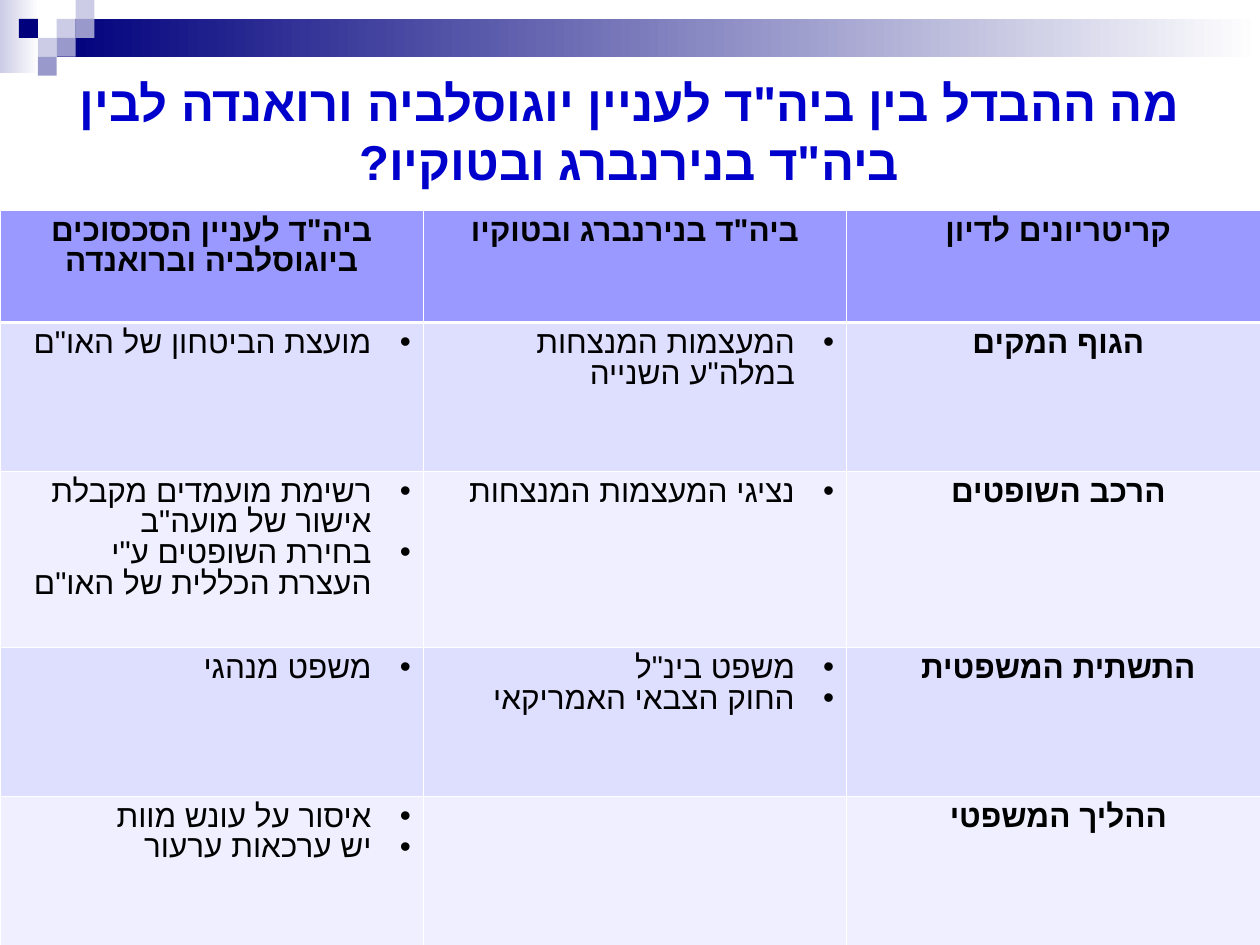
import pptx
import pptx.dml.color
import pptx.enum.shapes
import pptx.enum.text
import pptx.oxml
import pptx.oxml.ns
import pptx.util
from pptx.util import Inches

NS = pptx.oxml.ns.nsdecls("a")
CENTER = pptx.enum.text.PP_ALIGN.CENTER
RIGHT = pptx.enum.text.PP_ALIGN.RIGHT


def rgb(value):
    return pptx.dml.color.RGBColor.from_string(value)


def write(p, text, size, color, bold, align):
    """Fill a right-to-left paragraph with one run."""
    p.alignment = align
    p._p.get_or_add_pPr().set("rtl", "1")
    r = p.add_run()
    r.text = text
    r.font.size = pptx.util.Pt(size)
    r.font.name = "Arial"
    r.font.bold = bold
    r.font.color.rgb = rgb(color)
    r._r.get_or_add_rPr().append(
        pptx.oxml.parse_xml(f'<a:cs {NS} typeface="Arial"/>'))


prs = pptx.Presentation()
prs.slide_width, prs.slide_height = Inches(10), Inches(7.5)
s = prs.slides.add_slide(prs.slide_layouts[6])

# Header band: two gradient bars, then small squares on a grid
UNIT = 0.15
bars = [(0, 0, 0.31, 0.58, "CCCCE6"), (0.45, 0.15, 9.55, 0.3, "00007D")]
squares = [(3, 1, "CCCCE6"), (4, 0, "CCCCE6"), (4, 1, "9999CC"),
           (2, 2, "CCCCE6"), (1, 1, "00007D"), (3, 2, "9999CC"),
           (2, 3, "9999CC")]
blocks = [(*bar, True) for bar in bars]
blocks += [(col * UNIT, row * UNIT, UNIT, UNIT, color, False)
           for col, row, color in squares]
for x, y, w, h, color, fades in blocks:
    sp = s.shapes.add_shape(pptx.enum.shapes.MSO_SHAPE.RECTANGLE,
                            Inches(x), Inches(y), Inches(w), Inches(h))
    sp.shadow.inherit = False
    sp.line.fill.background()
    if fades:
        sp.fill.gradient()
        sp.fill.gradient_angle = 0
        for stop, stop_color in zip(sp.fill.gradient_stops, (color, "FFFFFF")):
            stop.color.rgb = rgb(stop_color)
    else:
        sp.fill.solid()
        sp.fill.fore_color.rgb = rgb(color)

# Title
sp = s.shapes.add_textbox(Inches(0.33), Inches(0.33), Inches(9.33), Inches(1.42))
tf = sp.text_frame
tf.word_wrap = True
tf.vertical_anchor = pptx.enum.text.MSO_ANCHOR.MIDDLE
write(tf.paragraphs[0],
      'מה ההבדל בין ביה"ד לעניין יוגוסלביה ורואנדה לבין ביה"ד בנירנברג ובטוקיו?',
      28, "0000CC", True, CENTER)

# Comparison table: each cell is a list of paragraphs
rows = [
    (0.89, "9999FF", [['ביה"ד לעניין הסכסוכים ביוגוסלביה וברואנדה'],
                      ['ביה"ד בנירנברג ובטוקיו'],
                      ["קריטריונים לדיון"]]),
    (1.18, "DEDEFF", [['מועצת הביטחון של האו"ם'],
                      ['המעצמות המנצחות במלה"ע השנייה'],
                      ["הגוף המקים"]]),
    (1.4, "EFEFFF", [['רשימת מועמדים מקבלת אישור של מועה"ב',
                      'בחירת השופטים ע"י העצרת הכללית של האו"ם'],
                     ["נציגי המעצמות המנצחות"],
                     ["הרכב השופטים"]]),
    (1.18, "DEDEFF", [["משפט מנהגי"],
                      ['משפט בינ"ל', "החוק הצבאי האמריקאי"],
                      ["התשתית המשפטית"]]),
    (1.18, "EFEFFF", [["איסור על עונש מוות", "יש ערכאות ערעור"],
                      [],
                      ["ההליך המשפטי"]]),
]
table = s.shapes.add_table(len(rows), 3, Inches(0), Inches(1.67),
                           Inches(10.08), Inches(5.83)).table
for column in table.columns:
    column.width = Inches(3.36)

for i, (height, fill, cells) in enumerate(rows):
    table.rows[i].height = Inches(height)
    for j, texts in enumerate(cells):
        cell = table.cell(i, j)
        cell.fill.solid()
        cell.fill.fore_color.rgb = rgb(fill)

        # White borders, heavier below the header row
        tcPr = cell._tc.get_or_add_tcPr()
        for k, side in enumerate(("lnL", "lnR", "lnT", "lnB")):
            heavy = (i, side) in ((0, "lnB"), (1, "lnT"))
            width = pptx.util.Pt(1.47 if heavy else 0.45)
            tcPr.insert(k, pptx.oxml.parse_xml(
                f'<a:{side} {NS} w="{int(width)}"><a:solidFill>'
                f'<a:srgbClr val="FFFFFF"/></a:solidFill></a:{side}>'))

        # Headings are bold and centred, the rest are bullets
        heading = i == 0 or j == 2
        tf = cell.text_frame
        for n, text in enumerate(texts):
            p = tf.paragraphs[0] if n == 0 else tf.add_paragraph()
            p.line_spacing = 0.87
            if not heading:
                pPr = p._p.get_or_add_pPr()
                pPr.set("marL", str(Inches(0.31)))
                pPr.set("indent", str(Inches(-0.31)))
                for xml in (f'<a:buClr {NS}><a:srgbClr val="000000"/></a:buClr>',
                            f'<a:buFont {NS} typeface="Arial"/>',
                            f'<a:buChar {NS} char="•"/>'):
                    pPr.append(pptx.oxml.parse_xml(xml))
            write(p, text, 18, "000000", heading, CENTER if heading else RIGHT)

prs.save("out.pptx")
